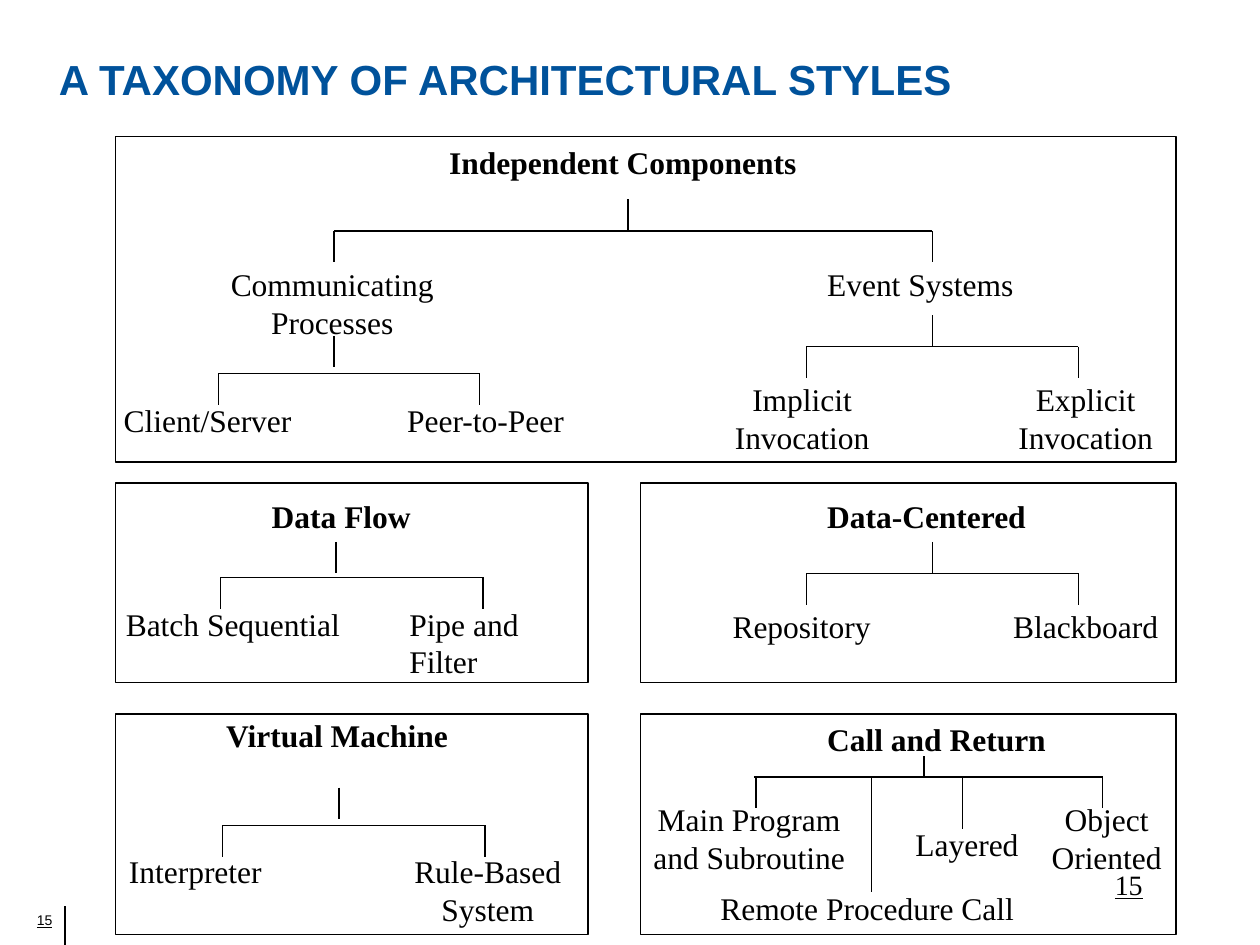
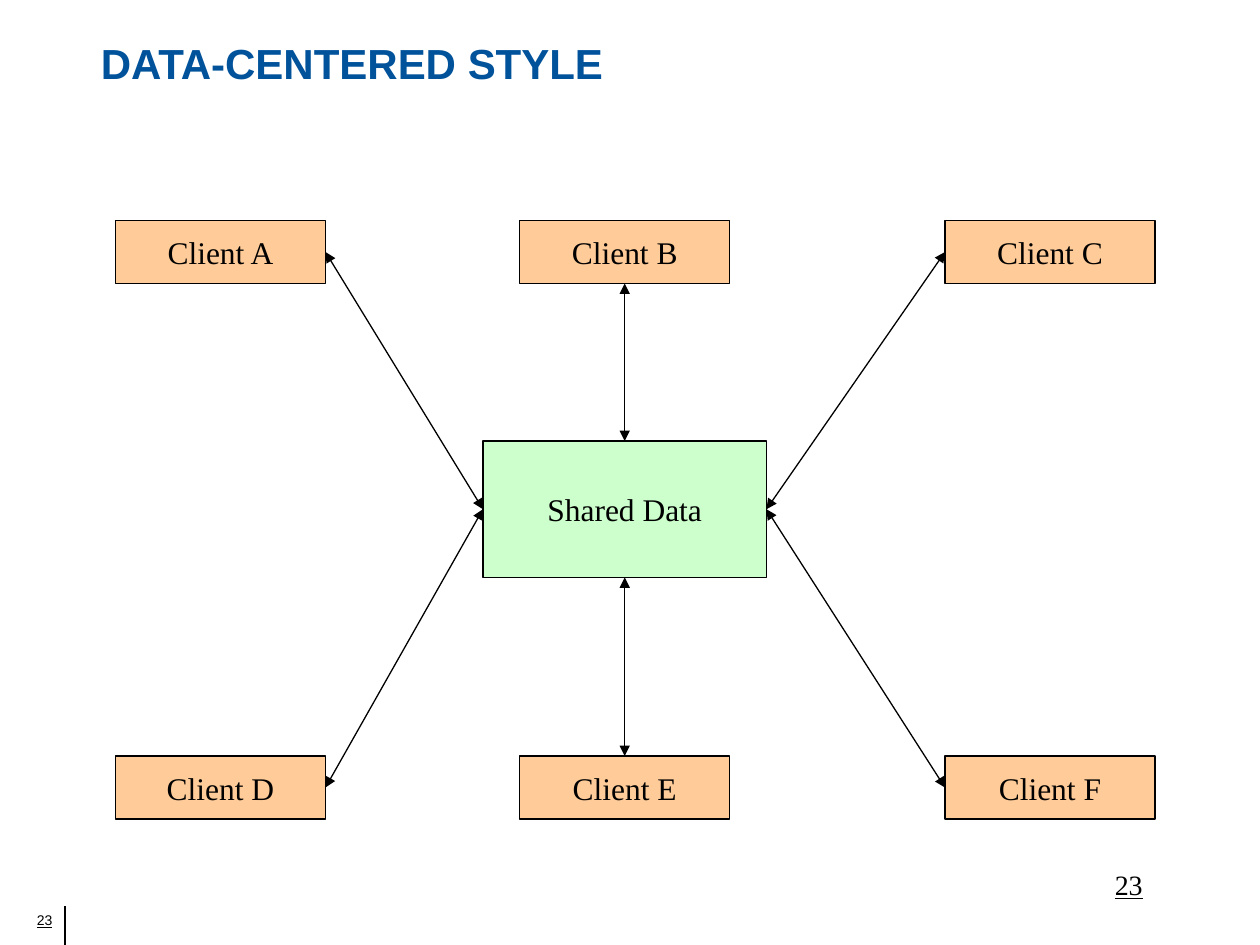
import dataclasses

import lxml.etree
import pptx
import pptx.dml.color
import pptx.enum.shapes
import pptx.enum.text
import pptx.oxml.ns
import pptx.util

PX = 7620
ALIGN = pptx.enum.text.PP_ALIGN
ANCHOR = pptx.enum.text.MSO_ANCHOR
FIT = pptx.enum.text.MSO_AUTO_SIZE
RECTANGLE = pptx.enum.shapes.MSO_SHAPE.RECTANGLE
STRAIGHT = pptx.enum.shapes.MSO_CONNECTOR.STRAIGHT


@dataclasses.dataclass(frozen=True)
class Theme:
    black = pptx.dml.color.RGBColor.from_string("000000")
    heading = pptx.dml.color.RGBColor.from_string("00529B")
    client = pptx.dml.color.RGBColor.from_string("FFCC99")
    store = pptx.dml.color.RGBColor.from_string("CCFFCC")
    sans = "Arial"
    serif = "Times New Roman"
    title = 24
    body = 18
    number = 16
    footer = 8
    stroke = pptx.util.Pt(0.75)


theme = Theme()


def write(box, text, font=theme.serif, size=theme.body, color=theme.black, bold=False,
          underline=False, align=ALIGN.CENTER, anchor=ANCHOR.TOP, wrap=False, fit=FIT.NONE,
          insets=(12, 6, 12, 6)):
    frame = box.text_frame
    frame.word_wrap = wrap
    frame.auto_size = fit
    frame.vertical_anchor = anchor
    frame.margin_left, frame.margin_top, frame.margin_right, frame.margin_bottom = [n * PX for n in insets]
    for index, line in enumerate(text.split("\n")):
        para = frame.add_paragraph() if index else frame.paragraphs[0]
        para.alignment = align
        span = para.add_run()
        span.text = line
        span.font.name = font
        span.font.size = pptx.util.Pt(size)
        span.font.color.rgb = color
        span.font.bold = bold
        span.font.underline = underline


def connect(page, *ends, arrows=False):
    connector = page.shapes.add_connector(STRAIGHT, *[n * PX for n in ends])
    connector.line.color.rgb = theme.black
    connector.line.width = theme.stroke
    if arrows:
        outline = connector.line._get_or_add_ln()
        for tag in ("a:headEnd", "a:tailEnd"):
            lxml.etree.SubElement(outline, pptx.oxml.ns.qn(tag), type="triangle")
    lxml.etree.SubElement(connector._element.spPr, pptx.oxml.ns.qn("a:effectLst"))


deck = pptx.Presentation()
deck.slide_width = 1200 * PX
deck.slide_height = 900 * PX

headings = [
    ("A TAXONOMY OF ARCHITECTURAL STYLES", "15", (50, 0, 1110, 150)),
    ("DATA-CENTERED STYLE", "23", (90, 30, 1020, 60)),
]
pages = []
for title, number, place in headings:
    page = deck.slides.add_slide(deck.slide_layouts[6])
    pages.append(page)
    connect(page, 62, 863, 62, 900)
    box = page.shapes.add_textbox(6 * PX, 862 * PX, 44 * PX, 28 * PX)
    write(box, number, font=theme.sans, size=theme.footer, underline=True,
          align=ALIGN.RIGHT, wrap=True, insets=(12, 6, 0, 6))
    box = page.shapes.add_textbox(*[n * PX for n in place])
    write(box, title, font=theme.sans, size=theme.title, color=theme.heading, bold=True,
          align=ALIGN.LEFT, anchor=ANCHOR.MIDDLE, wrap=True, insets=(6, 6, 6, 6))
    box = page.shapes.add_textbox(950 * PX, 820 * PX, 250 * PX, 60 * PX)
    write(box, number, size=theme.number, underline=True, wrap=True)

taxonomy, data_centered = pages

families = [
    ("Independent Components", 416, 130, 358, ALIGN.LEFT),
    ("Data Flow", 245, 467, 160, ALIGN.CENTER),
    ("Data-Centered", 776, 467, 218, ALIGN.LEFT),
    ("Virtual Machine", 201, 676, 240, ALIGN.CENTER),
    ("Call and Return", 776, 680, 236, ALIGN.LEFT),
]
styles = [
    ("Communicating\nProcesses", 206, 247, 221, ALIGN.CENTER),
    ("Event Systems", 776, 247, 206, ALIGN.LEFT),
    ("Client/Server", 106, 376, 187, ALIGN.LEFT),
    ("Peer-to-Peer", 376, 376, 178, ALIGN.LEFT),
    ("Implicit\nInvocation", 686, 356, 156, ALIGN.CENTER),
    ("Explicit\nInvocation", 956, 356, 156, ALIGN.CENTER),
    ("Batch Sequential", 108, 570, 232, ALIGN.LEFT),
    ("Pipe and\nFilter", 378, 570, 132, ALIGN.LEFT),
    ("Repository", 684, 572, 159, ALIGN.CENTER),
    ("Blackboard", 951, 572, 166, ALIGN.CENTER),
    ("Interpreter", 111, 806, 154, ALIGN.LEFT),
    ("Rule-Based\nSystem", 381, 806, 167, ALIGN.CENTER),
    ("Main Program\nand Subroutine", 608, 756, 211, ALIGN.CENTER),
    ("Object\nOriented", 988, 756, 132, ALIGN.CENTER),
    ("Layered", 858, 780, 126, ALIGN.CENTER),
    ("Remote Procedure Call", 672, 841, 308, ALIGN.CENTER),
]
for group, bold in ((families, True), (styles, False)):
    for text, left, top, width, align in group:
        height = 48 + 36 * text.count("\n")
        box = taxonomy.shapes.add_textbox(left * PX, top * PX, width * PX, height * PX)
        write(box, text, bold=bold, align=align, fit=FIT.SHAPE_TO_FIT_TEXT)

trees = [
    (598, 190, 30, 220, 318, 888, [(318, 30), (888, 30)]),
    (318, 320, 30, 356, 208, 457, [(208, 30), (457, 30)]),
    (888, 300, 30, 330, 768, 1027, [(768, 30), (1027, 30)]),
    (320, 516, 30, 550, 210, 460, [(210, 30), (460, 30)]),
    (888, 516, 30, 546, 768, 1027, [(768, 30), (1027, 30)]),
    (323, 750, 30, 786, 212, 462, [(212, 30), (462, 30)]),
    (880, 720, 20, 740, 718, 1050, [(720, 30), (830, 110), (917, 50), (1050, 30)]),
]
for stem, top, length, bar, left, right, drops in trees:
    connect(taxonomy, stem, top, stem, top + length)
    connect(taxonomy, left, bar, right, bar)
    for drop, depth in drops:
        connect(taxonomy, drop, bar, drop, bar + depth)

frames = [
    (110, 130, 1010, 310),
    (110, 460, 450, 190),
    (610, 460, 510, 190),
    (110, 680, 450, 210),
    (610, 680, 510, 210),
]
for place in frames:
    box = taxonomy.shapes.add_shape(RECTANGLE, *[n * PX for n in place])
    box.shadow.inherit = False
    box.fill.background()
    box.line.color.rgb = theme.black
    box.line.width = theme.stroke

nodes = [("Shared Data", 460, 420, 270, 130, theme.store)]
for row, top in enumerate((210, 720)):
    for column, left in enumerate((110, 495, 900)):
        nodes.append((f"Client {'ABCDEF'[row * 3 + column]}", left, top, 200, 60, theme.client))
for text, left, top, width, height, color in nodes:
    box = data_centered.shapes.add_shape(RECTANGLE, left * PX, top * PX, width * PX, height * PX)
    box.shadow.inherit = False
    box.fill.solid()
    box.fill.fore_color.rgb = color
    box.line.color.rgb = theme.black
    box.line.width = theme.stroke
    write(box, text, anchor=ANCHOR.MIDDLE)

for client_x, store_x in ((310, 460), (900, 730)):
    for client_y in (240, 750):
        connect(data_centered, client_x, client_y, store_x, 485, arrows=True)
for client_y, store_y in ((270, 420), (720, 550)):
    connect(data_centered, 595, client_y, 595, store_y, arrows=True)

deck.save("out.pptx")
